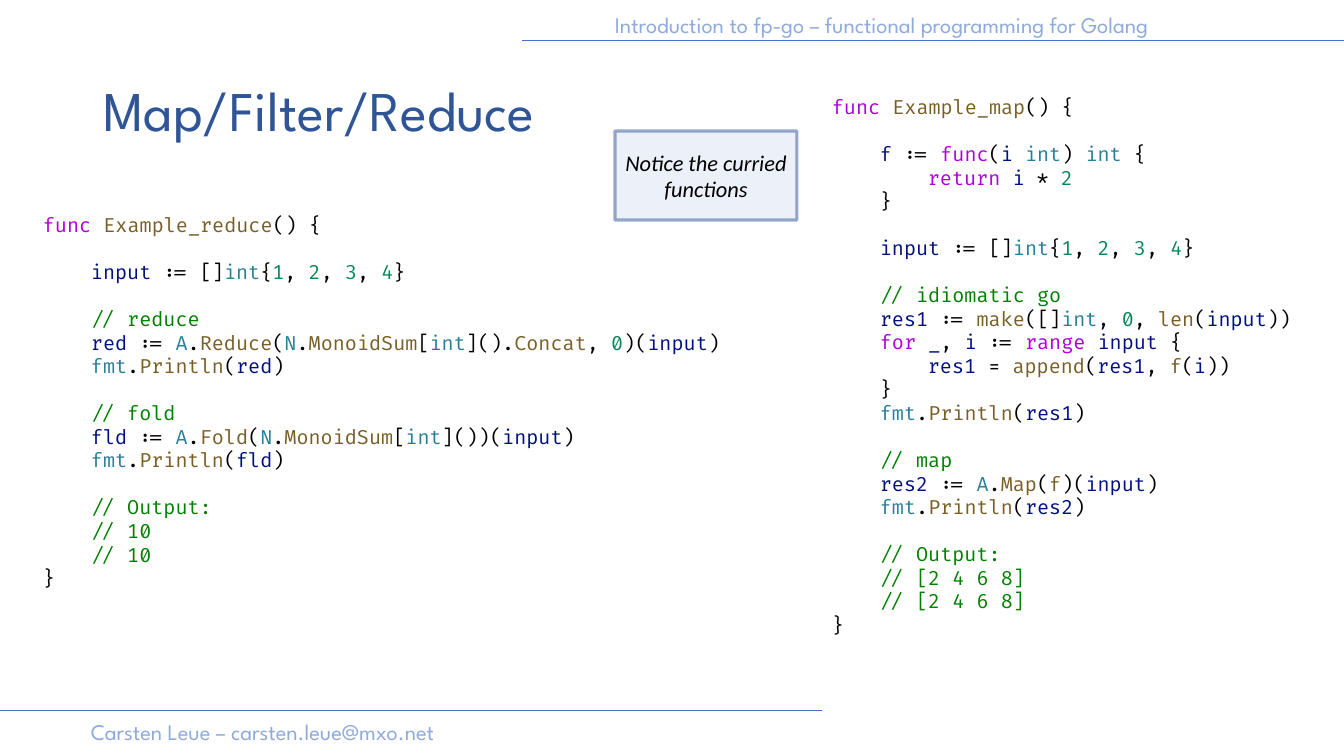
from itertools import groupby
from pptx import Presentation
from pptx import util as u
from pptx.dml.color import RGBColor
from pptx.enum import shapes, text
from pptx.oxml import ns
from lxml import etree

TITLE = "Map/Filter/Reduce"
NOTE = "Notice the curried functions"
BANNERS = [
    ("Introduction to fp-go – functional programming for Golang", (605, 6, 659, 37)),
    ("Carsten Leue – carsten.leue@mxo.net", (81, 713, 434, 37)),
]
RULES = [(1344, 40, 522, 40), (822, 710, 0, 710)]
MAP_CODE = """func Example_map() {

    f := func(i int) int {
        return i * 2
    }

    input := []int{1, 2, 3, 4}

    // idiomatic go
    res1 := make([]int, 0, len(input))
    for _, i := range input {
        res1 = append(res1, f(i))
    }
    fmt.Println(res1)

    // map
    res2 := A.Map(f)(input)
    fmt.Println(res2)

    // Output:
    // [2 4 6 8]
    // [2 4 6 8]
}"""
REDUCE_CODE = """func Example_reduce() {

    input := []int{1, 2, 3, 4}

    // reduce
    red := A.Reduce(N.MonoidSum[int]().Concat, 0)(input)
    fmt.Println(red)

    // fold
    fld := A.Fold(N.MonoidSum[int]())(input)
    fmt.Println(fld)

    // Output:
    // 10
    // 10
}"""
WORDS = {
    "keyword": "func return for range",
    "type": "int fmt A N",
    "function": "Example_map Example_reduce make len append f Println "
                "Map Reduce Fold MonoidSum Concat",
}
COLORS = {
    "keyword": "AF00DB", "type": "267F99", "function": "795E26",
    "variable": "001080", "number": "098658", "comment": "008000",
    "plain": "000000", "title": "2F5597", "banner": "8FAADC",
    "rule": "4472C4", "note": "DAE3F3", "panel": "FFFFFF",
}
KINDS = {word: kind for kind, words in WORDS.items() for word in words.split()}
PX = 914400 / 100.8
CHAR_W = 12
LINE_H = 16.8


def px(*values):
    return [u.Emu(round(v * PX)) for v in values]


def rgb(name):
    return RGBColor.from_string(COLORS[name])


def add_run(p, content, font, size, color, italic=None):
    r = p.add_run()
    r.text = content
    r.font.name = font
    r.font.size = u.Pt(size)
    r.font.italic = italic
    r.font.color.rgb = rgb(color)


def add_text_box(s, box):
    tf = s.shapes.add_textbox(*px(*box)).text_frame
    tf.word_wrap = True
    return tf


def add_rect(s, box, fill):
    sp = s.shapes.add_shape(shapes.MSO_SHAPE.RECTANGLE, *px(*box))
    sp.shadow.inherit = False
    sp.fill.solid()
    sp.fill.fore_color.rgb = rgb(fill)
    return sp


def make_half_transparent(sp):
    for clr in sp._element.spPr.iter(ns.qn("a:srgbClr")):
        etree.SubElement(clr, ns.qn("a:alpha"), val="50000")


def color_tokens(line):
    if line.startswith("//"):
        return [(line, "comment")]
    chunks = ["".join(g) for _, g in groupby(line, lambda c: c.isalnum() or c == "_")]
    tokens = []
    for i, chunk in enumerate(chunks):
        if chunk.isdigit():
            kind = "number"
        elif not (chunk[0].isalnum() or chunk[0] == "_"):
            kind = "plain"
        elif i == 0 and chunks[1:2] == [" := "]:
            kind = "variable"
        else:
            kind = KINDS.get(chunk, "variable")
        tokens.append((chunk, kind))
    return tokens


def fill_code(tf, code):
    tf.vertical_anchor = text.MSO_ANCHOR.TOP
    p, gap = tf.paragraphs[0], 0
    for n, line in enumerate(code.split("\n")):
        if not line:
            gap += LINE_H
            continue
        if n:
            p = tf.add_paragraph()
        p.alignment = text.PP_ALIGN.LEFT
        p.space_before = u.Pt(gap)
        gap = 0
        stripped = line.lstrip()
        indent = px((len(line) - len(stripped)) * CHAR_W)[0]
        p._p.get_or_add_pPr().set("marL", str(indent))
        for chunk, kind in color_tokens(stripped):
            add_run(p, chunk, "Fira Code", 14, kind)


def main():
    prs = Presentation()
    prs.slide_width, prs.slide_height = px(1344, 756)
    s = prs.slides.add_slide(prs.slide_layouts[5])

    for content, box in BANNERS:
        add_run(add_text_box(s, box).paragraphs[0], content, "League Spartan", 16, "banner")
    for ends in RULES:
        rule = s.shapes.add_connector(shapes.MSO_CONNECTOR.STRAIGHT, *px(*ends))
        rule.line.color.rgb = rgb("rule")
        rule.line.width = u.Pt(0.5)
        etree.SubElement(rule._element.spPr, ns.qn("a:effectLst"))

    title = s.shapes.title
    title.left, title.top, title.width, title.height = px(93, 40, 1159, 146)
    tf = title.text_frame
    tf.auto_size = text.MSO_AUTO_SIZE.NONE
    tf.vertical_anchor = text.MSO_ANCHOR.MIDDLE
    p = tf.paragraphs[0]
    p.alignment = text.PP_ALIGN.LEFT
    p.line_spacing = 0.9
    add_run(p, TITLE, "League Spartan", 40, "title")

    panel = add_rect(s, (822, 90, 492, 556), "panel")
    panel.line.fill.background()
    make_half_transparent(panel)
    fill_code(panel.text_frame, MAP_CODE)
    fill_code(add_text_box(s, (33, 208, 710, 390)), REDUCE_CODE)

    note = add_rect(s, (615, 131, 182, 89), "note")
    note.line.color.rgb = rgb("title")
    note.line.width = u.Pt(2.25)
    make_half_transparent(note)
    note.text_frame.vertical_anchor = text.MSO_ANCHOR.MIDDLE
    p = note.text_frame.paragraphs[0]
    p.alignment = text.PP_ALIGN.CENTER
    add_run(p, NOTE, "Calibri", 16, "plain", italic=True)

    prs.save("out.pptx")


if __name__ == "__main__":
    main()
